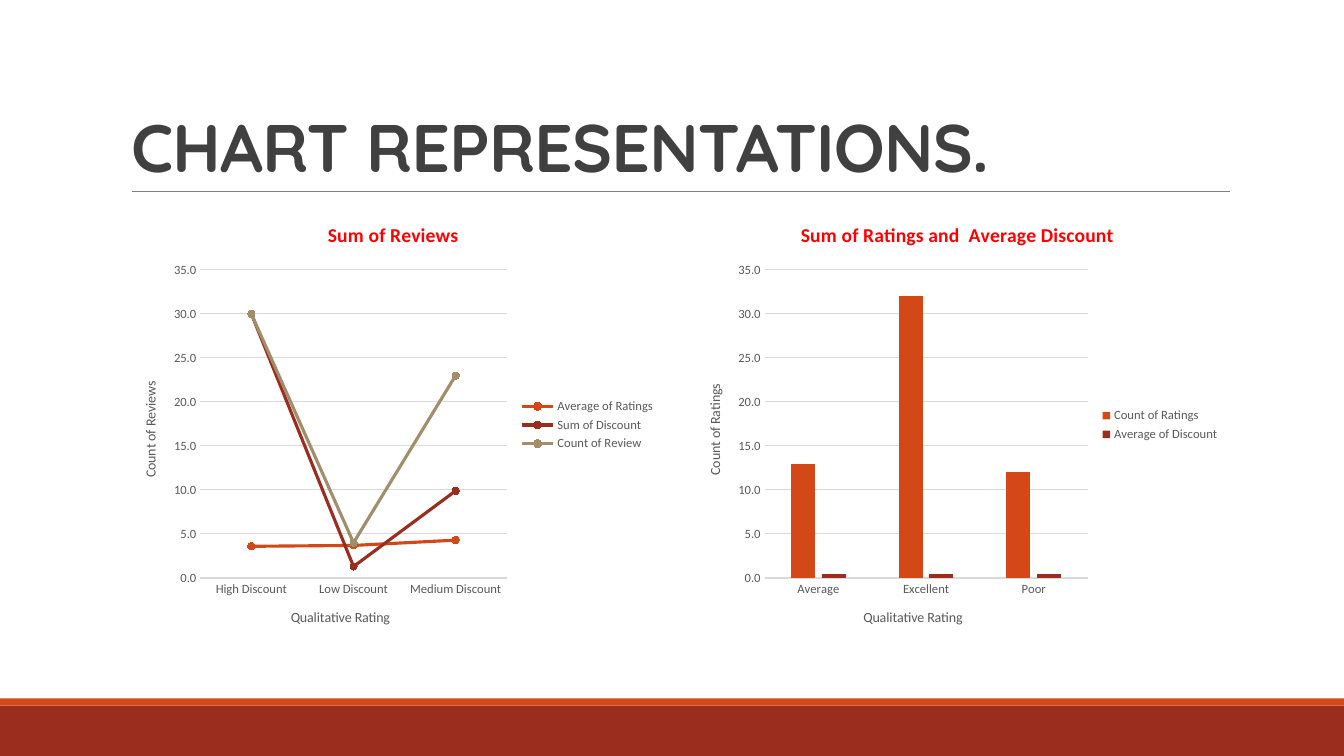
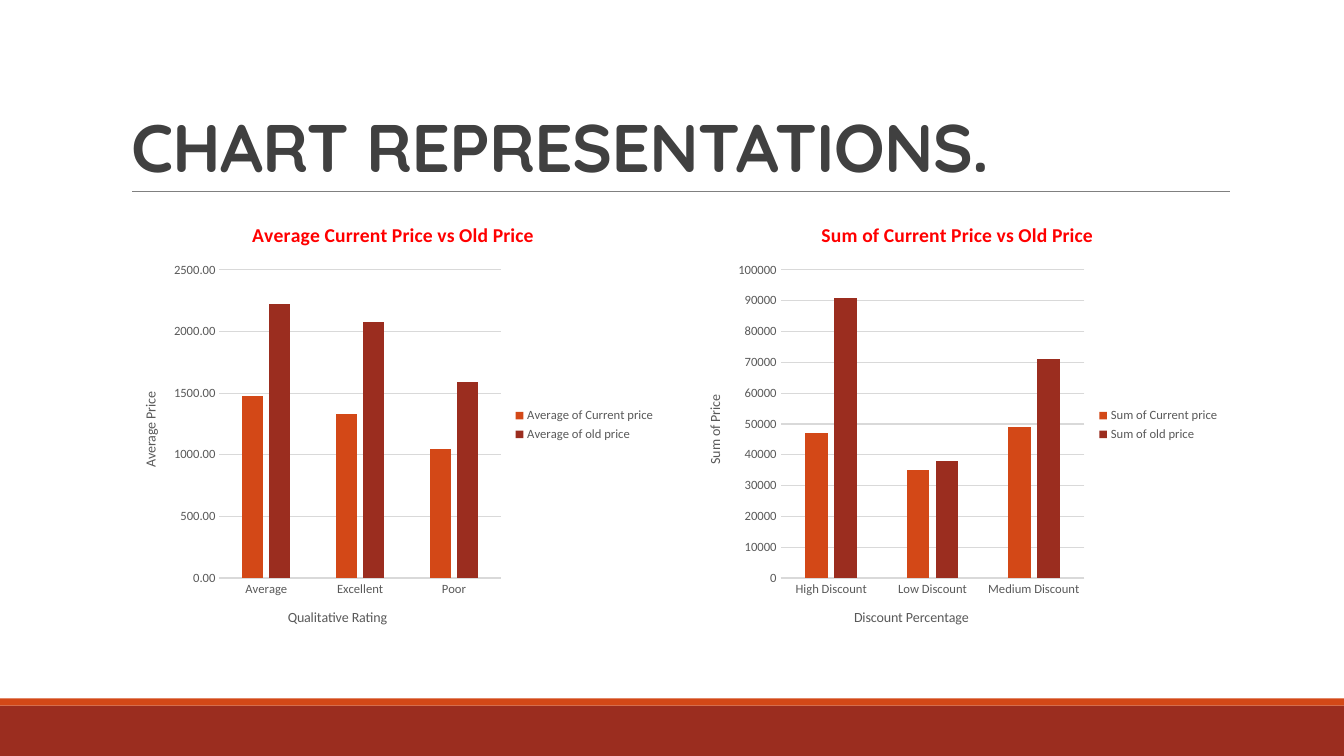
from dataclasses import dataclass

from lxml import etree
from pptx import Presentation
from pptx.chart.axis import CategoryAxis, ValueAxis
from pptx.chart.chart import Chart
from pptx.chart.data import CategoryChartData
from pptx.dml.color import RGBColor
from pptx.enum.chart import (XL_CHART_TYPE, XL_LEGEND_POSITION,
                             XL_MARKER_STYLE, XL_TICK_MARK)
from pptx.enum.shapes import MSO_CONNECTOR, MSO_SHAPE
from pptx.enum.text import MSO_ANCHOR, MSO_AUTO_SIZE, PP_ALIGN
from pptx.oxml.ns import qn
from pptx.slide import Slide, SlideLayout
from pptx.text.text import Font, TextFrame
from pptx.util import Cm, Pt

LINE = XL_CHART_TYPE.LINE_MARKERS
BAR = XL_CHART_TYPE.COLUMN_CLUSTERED
RIGHT = XL_LEGEND_POSITION.RIGHT
CIRCLE = XL_MARKER_STYLE.CIRCLE
NO_TICK = XL_TICK_MARK.NONE
RECT = MSO_SHAPE.RECTANGLE
STRAIGHT = MSO_CONNECTOR.STRAIGHT
BOTTOM = MSO_ANCHOR.BOTTOM
NO_FIT = MSO_AUTO_SIZE.NONE
FLUSH = PP_ALIGN.LEFT
TITLE_ONLY = 5


@dataclass(frozen=True)
class Theme:
    orange: str = "D34817"
    rust: str = "9B2D1F"
    tan: str = "A28E6A"
    red: str = "FF0000"
    ink: str = "404040"
    label: str = "595959"
    rule: str = "808080"
    grid: str = "D9D9D9"
    head: str = "Quicksand"
    body: str = "Calibri"
    title_size: float = 48
    chart_size: float = 14
    axis_size: float = 10
    label_size: float = 9

    @property
    def accents(self) -> tuple[str, ...]:
        return self.orange, self.rust, self.tan


@dataclass(frozen=True)
class Band:
    top: float
    height: float
    color: str


@dataclass(frozen=True)
class Series:
    name: str
    values: tuple[float, ...]


@dataclass(frozen=True)
class Graph:
    kind: XL_CHART_TYPE
    title: str
    x_title: str
    y_title: str
    cats: tuple[str, ...]
    series: tuple[Series, ...]
    top: float
    step: float
    fmt: str


THEME = Theme()
WIDTH, HEIGHT = 33.87, 19.05
TITLE = "CHART REPRESENTATIONS."
LEFT, TOP = 3.05, 5.13
GRAPH_W, GRAPH_H, PITCH = 13.72, 11.16, 14.22
BANDS = (Band(17.78, 1.27, THEME.rust), Band(17.6, 0.18, THEME.orange))
LEVELS = ("Average", "Excellent", "Poor")
DISCOUNTS = ("High Discount", "Low Discount", "Medium Discount")
RATING = "Qualitative Rating"

PAGES = (
    (
        Graph(LINE, "Sum of Reviews", RATING, "Count of Reviews", DISCOUNTS,
              (Series("Average of Ratings", (3.6, 3.7, 4.3)),
               Series("Sum of Discount", (30, 1.3, 9.9)),
               Series("Count of Review", (30, 4, 23))),
              35, 5, "0.0"),
        Graph(BAR, "Sum of Ratings and  Average Discount", RATING,
              "Count of Ratings", LEVELS,
              (Series("Count of Ratings", (13, 32, 12)),
               Series("Average of Discount", (0.4, 0.4, 0.4))),
              35, 5, "0.0"),
    ),
    (
        Graph(BAR, "Average Current Price vs Old Price", RATING,
              "Average Price", LEVELS,
              (Series("Average of Current price", (1480, 1330, 1050)),
               Series("Average of old price", (2220, 2080, 1590))),
              2500, 500, "0.00"),
        Graph(BAR, "Sum of Current Price vs Old Price", "Discount Percentage",
              "Sum of Price", DISCOUNTS,
              (Series("Sum of Current price", (47000, 35000, 49000)),
               Series("Sum of old price", (91000, 38000, 71000))),
              100000, 10000, "0"),
    ),
)


def rgb(color: str) -> RGBColor:
    return RGBColor.from_string(color)


def style(font: Font, size: float, color: str, bold: bool = False,
          name: str = THEME.body) -> None:
    font.name, font.size, font.bold = name, Pt(size), bold
    font.color.rgb = rgb(color)


def frame(slide: Slide, layout: SlideLayout) -> None:
    """Draw the bands and the rule, then hand them to the layout."""
    parts = []
    for band in BANDS:
        shape = slide.shapes.add_shape(RECT, 0, Cm(band.top), Cm(WIDTH),
                                       Cm(band.height))
        shape.shadow.inherit = False
        shape.fill.solid()
        shape.fill.fore_color.rgb = rgb(band.color)
        shape.line.fill.background()
        parts.append(shape)
    rule = slide.shapes.add_connector(STRAIGHT, Cm(3.33), Cm(4.83),
                                      Cm(31), Cm(4.83))
    rule.line.color.rgb = rgb(THEME.rule)
    rule.line.width = Pt(0.5)
    etree.SubElement(rule.element.spPr, qn("a:effectLst"))
    for part in (*parts, rule):
        layout.shapes.element.append(part.element)


def add_title(slide: Slide) -> None:
    title = slide.shapes.title
    title.left, title.top = Cm(LEFT), Cm(0.79)
    title.width, title.height = Cm(27.94), Cm(4.04)
    text = title.text_frame
    text.text = TITLE
    text.vertical_anchor = BOTTOM
    text.auto_size = NO_FIT
    text.word_wrap = True
    para = text.paragraphs[0]
    para.alignment = FLUSH
    para.line_spacing = 0.85
    style(para.runs[0].font, THEME.title_size, THEME.ink, True, THEME.head)
    for props in title.element.iter(qn("a:rPr")):
        props.set("spc", "-50")


def label(text: TextFrame, words: str, size: float, color: str,
          bold: bool = False) -> None:
    text.text = words
    style(text.paragraphs[0].font, size, color, bold)


def style_axis(axis: CategoryAxis | ValueAxis, words: str) -> None:
    label(axis.axis_title.text_frame, words, THEME.axis_size, THEME.label)
    axis.major_tick_mark = axis.minor_tick_mark = NO_TICK
    style(axis.tick_labels.font, THEME.label_size, THEME.label)


def style_axes(chart: Chart, graph: Graph) -> None:
    cat, val = chart.category_axis, chart.value_axis
    style_axis(cat, graph.x_title)
    style_axis(val, graph.y_title)
    val.minimum_scale, val.maximum_scale = 0, graph.top
    val.major_unit = graph.step
    val.tick_labels.number_format = graph.fmt
    val.tick_labels.number_format_is_linked = False
    val.format.line.fill.background()
    val.has_major_gridlines = True
    for line in (cat.format.line, val.major_gridlines.format.line):
        line.color.rgb = rgb(THEME.grid)
        line.width = Pt(0.75)


def style_series(chart: Chart, kind: XL_CHART_TYPE) -> None:
    plot = chart.plots[0]
    plot.vary_by_categories = False
    if kind == BAR:
        plot.gap_width, plot.overlap = 219, -27
    for item, accent in zip(plot.series, THEME.accents):
        color = rgb(accent)
        if kind == BAR:
            item.format.fill.solid()
            item.format.fill.fore_color.rgb = color
            continue
        item.smooth = False
        item.format.line.color.rgb = color
        item.format.line.width = Pt(2.25)
        mark = item.marker
        mark.style, mark.size = CIRCLE, 5
        mark.format.fill.solid()
        mark.format.fill.fore_color.rgb = color
        mark.format.line.color.rgb = color


def add_graph(slide: Slide, graph: Graph, left: float) -> None:
    data = CategoryChartData()
    data.categories = graph.cats
    for item in graph.series:
        data.add_series(item.name, item.values)
    chart = slide.shapes.add_chart(graph.kind, Cm(left), Cm(TOP), Cm(GRAPH_W),
                                   Cm(GRAPH_H), data).chart
    style(chart.font, THEME.axis_size, THEME.label)
    label(chart.chart_title.text_frame, graph.title, THEME.chart_size,
          THEME.red, True)
    chart.has_legend = True
    chart.legend.position = RIGHT
    chart.legend.include_in_layout = False
    style(chart.legend.font, THEME.label_size, THEME.label)
    style_axes(chart, graph)
    style_series(chart, graph.kind)


def main() -> None:
    deck = Presentation()
    deck.slide_width, deck.slide_height = Cm(WIDTH), Cm(HEIGHT)
    layout = deck.slide_layouts[TITLE_ONLY]
    for page, graphs in enumerate(PAGES):
        slide = deck.slides.add_slide(layout)
        if page == 0:
            frame(slide, layout)
        add_title(slide)
        for col, graph in enumerate(graphs):
            add_graph(slide, graph, LEFT + col * PITCH)
    deck.save("out.pptx")


if __name__ == "__main__":
    main()
